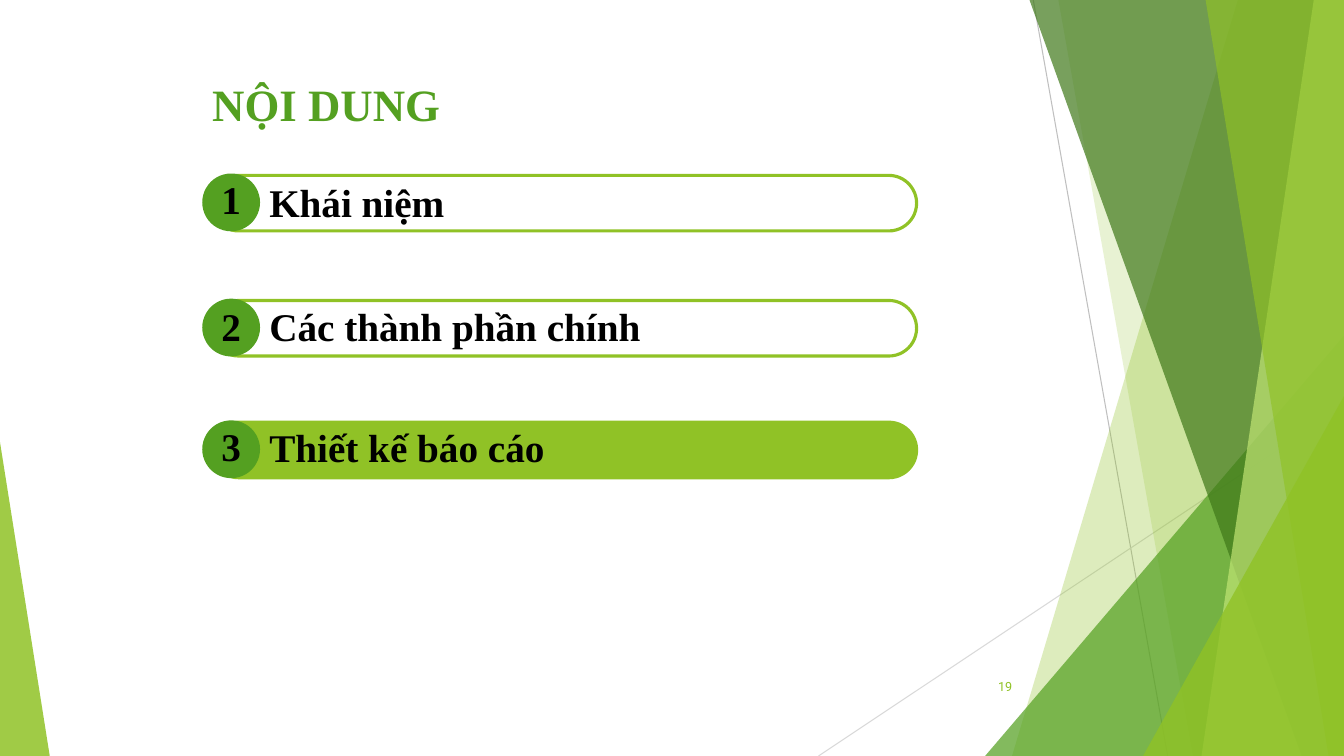
from lxml import etree
from pptx import Presentation
from pptx.dml.color import RGBColor
from pptx.enum.shapes import MSO_CONNECTOR, MSO_SHAPE
from pptx.enum.text import MSO_ANCHOR, PP_ALIGN
from pptx.oxml.ns import qn
from pptx.util import Inches, Pt

STRAIGHT = MSO_CONNECTOR.STRAIGHT
TRIANGLE, PILL, OVAL = (MSO_SHAPE.ISOSCELES_TRIANGLE,
                        MSO_SHAPE.ROUNDED_RECTANGLE, MSO_SHAPE.OVAL)
TOP, MIDDLE = MSO_ANCHOR.TOP, MSO_ANCHOR.MIDDLE
LEFT, RIGHT = PP_ALIGN.LEFT, PP_ALIGN.RIGHT

COLORS = {"lime": "90C226", "green": "54A021", "forest": "3F7819",
          "pale": "C0E474", "gray": "BFBFBF", "silver": "D9D9D9",
          "black": "000000"}
SERIF, SANS = "Times New Roman", "Roboto"


class Deck:
    """Style and current slide; all lengths are percent of the slide's size."""

    def __init__(self):
        self.prs = Presentation()
        self.prs.slide_width = Inches(13.33)
        self.prs.slide_height = Inches(7.5)
        self.shapes = self.prs.slides.add_slide(self.prs.slide_layouts[6]).shapes

    def x(self, share):
        return round(self.prs.slide_width * share / 100)

    def y(self, share):
        return round(self.prs.slide_height * share / 100)

    def box(self, x, y, w, h):
        return self.x(x), self.y(y), self.x(w), self.y(h)

    def paint(self, sp, fill=None, alpha=100, line=None):
        sp.shadow.inherit = False
        if fill:
            sp.fill.solid()
            sp.fill.fore_color.rgb = RGBColor.from_string(COLORS[fill])
            if alpha < 100:
                color = sp.fill._xPr.find(qn("a:solidFill"))[0]
                etree.SubElement(color, qn("a:alpha")).set("val", str(alpha * 1000))
        else:
            sp.fill.background()
        if line:
            sp.line.color.rgb = RGBColor.from_string(COLORS[line])
            sp.line.width = Pt(2.25)
        else:
            sp.line.fill.background()

    def line(self, x1, y1, x2, y2, color):
        sp = self.shapes.add_connector(STRAIGHT, self.x(x1), self.y(y1),
                                       self.x(x2), self.y(y2))
        sp.line.color.rgb = RGBColor.from_string(COLORS[color])
        sp.line.width = Pt(0.75)
        etree.SubElement(sp._element.spPr, qn("a:effectLst"))

    def shape(self, kind, x, y, w, h, adj=None, **style):
        sp = self.shapes.add_shape(kind, *self.box(x, y, w, h))
        if adj is not None:
            sp.adjustments[0] = adj
        self.paint(sp, **style)

    def shard(self, top, bottom, fill, alpha):
        """Full-height band from a slanted left edge to the slide's right edge."""
        builder = self.shapes.build_freeform(self.x(top), 0)
        corners = [(100, 0), (100, 100), (bottom, 100)]
        builder.add_line_segments([(self.x(x), self.y(y)) for x, y in corners])
        self.paint(builder.convert_to_shape(), fill, alpha)

    def text(self, text, x, y, w, h, size, color="black", font=SERIF,
             bold=True, align=LEFT, anchor=TOP):
        tf = self.shapes.add_textbox(*self.box(x, y, w, h)).text_frame
        tf.word_wrap = True
        tf.vertical_anchor = anchor
        tf.text = text
        p = tf.paragraphs[0]
        p.alignment = align
        r = p.runs[0]
        r.font.name, r.font.size, r.font.bold = font, Pt(size), bold
        r.font.color.rgb = RGBColor.from_string(COLORS[color])


def draw_backdrop(deck):
    deck.line(76.88, 0, 86.88, 100, "gray")
    deck.line(100, 53.7, 60.9, 100, "silver")
    deck.shard(92.1, 75.3, "lime", 30)
    deck.shard(78.75, 88.75, "lime", 20)
    deck.shape(TRIANGLE, 73.3, 44.4, 26.7, 55.6, adj=1, fill="green", alpha=72)
    deck.shard(76.6, 96.85, "forest", 70)
    deck.shard(97.75, 89.4, "pale", 70)
    deck.shard(89.7, 98.85, "lime", 65)
    deck.shape(TRIANGLE, 85.05, 52.4, 14.95, 47.6, adj=1, fill="lime", alpha=80)
    deck.shape(TRIANGLE, 0, 58.5, 3.7, 41.5, adj=0, fill="lime", alpha=85)


def main():
    deck = Deck()
    draw_backdrop(deck)
    # Topic, badge top, label top, number top, bar fill
    topics = [("Khái niệm", 22.95, 22.95, 22.55, None),
              ("Các thành phần chính", 39.5, 39.35, 39.35, None),
              ("Thiết kế báo cáo", 55.6, 55.35, 55.2, "lime")]
    for number, (topic, top, label_top, number_top, fill) in enumerate(topics, 1):
        deck.shape(PILL, 15.7, top + 0.25, 52.5, 7.35, adj=0.5,
                   fill=fill, line="lime")
        deck.shape(OVAL, 15.05, top, 4.3, 7.65, fill="green")
        deck.text(topic, 19.3, label_top, 48, 7.6, 28)
        deck.text(str(number), 15.73, number_top, 2.35, 7.6, 28)
    deck.text("NỘI DUNG", 15.05, 9.5, 22, 8.5, 32, "green")
    deck.text("19", 70.4, 88.1, 5.65, 5.3, 9, "lime", SANS, False, RIGHT, MIDDLE)
    deck.prs.save("out.pptx")


if __name__ == "__main__":
    main()
